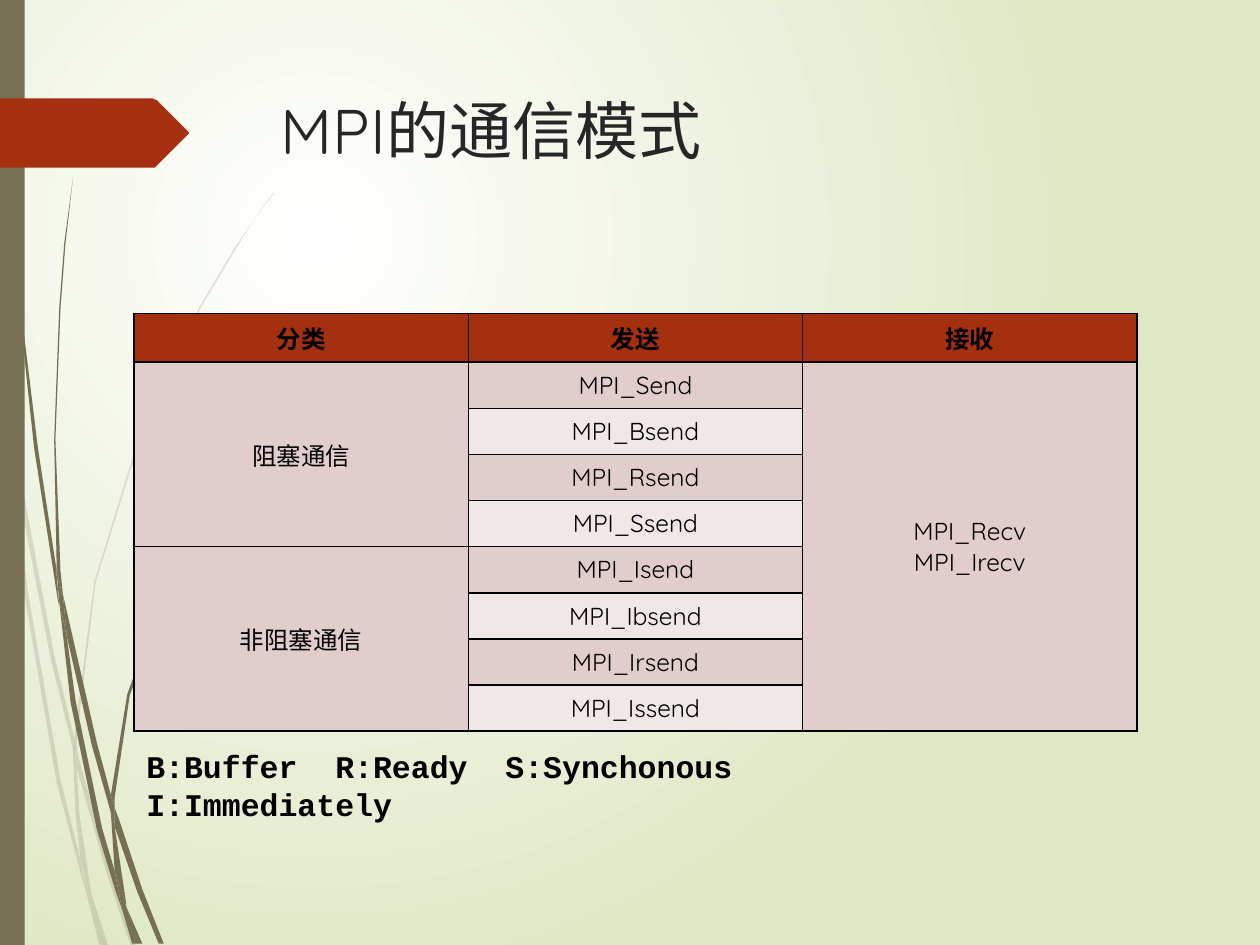
from lxml.etree import SubElement as Sub
from pptx import Presentation
from pptx.dml.color import RGBColor as Rgb
from pptx.enum.shapes import MSO_SHAPE as Kind
from pptx.enum.text import MSO_ANCHOR as Anchor, PP_ALIGN as Align
from pptx.oxml import parse_xml as to_xml
from pptx.oxml.ns import nsdecls, qn
from pptx.util import Cm, Pt

HUE = {"white": "FFFFFF", "lime": "DFE8C4", "olive": "766F54", "rust": "A53010",
       "rose": "E1CDCC", "pale": "F0E8E7", "ink": "000000", "grey": "262626"}

FAINT = [
    "8,350 6,322 0,282 0,299 7,344",
    "40,522 59,599 59,586 43,520 10,345 12,376",
    "64,607 61,596 61,610 85,694 104,751 108,751 88,692",
    "83,751 86,751 73,711",
    "64,683 48,619 22,469 12,376 8,350 19,470 45,621 64,693 70,714 69,707",
    "58,599 60,646 64,683 67,692 73,711 72,706 63,646 61,610 61,608",
    "61,584 76,462 111,349 159,245 187,198 201,175 217,154 217,153 201,175 "
    "186,197 158,244 110,348 75,461 59,584 59,586 61,596",
    "70,714 79,751 82,751",
    "61,608 61,610 61,596 59,586 58,599",
    "67,692 65,683 69,707 70,714 82,751 83,751 73,711",
]
DARK = [
    "5,110 14,233 27,355 46,477 47,481 45,457 45,453 30,355 15,232 6,109 "
    "4,48 3,0 2,0 3,48",
    "73,592 88,645 88,633 88,631 77,590 50,472 53,505",
    "94,649 91,641 91,656 109,708 126,749 130,749 113,706",
    "91,691 81,657 60,556 53,505 47,477 56,557 77,659 92,708 97,722 96,717",
    "50,472 48,453 44,349 48,245 52,193 58,141 51,193 47,245 43,349 45,449 49,472",
    "110,749 113,749 100,719",
    "47,477 53,505 50,472 49,472 45,449 45,453",
    "91,633 103,552 131,476 169,406 191,374 203,359 216,344 215,344 203,358 "
    "191,373 168,405 129,474 101,551 88,631 91,641",
    "97,722 105,749 108,749",
    "88,645 91,691 96,706 100,719 100,716 91,656 90,651",
    "88,645 90,651 91,656 91,641 88,631 88,633",
    "96,706 91,691 96,717 97,722 108,749 110,749 100,719",
]
TAG = ["149,107 124,132 123,133 121,133 0,133 0,78 121,78 123,79 124,79 149,104 150,105 150,106"]

deck = Presentation()
deck.slide_width, deck.slide_height = Cm(25.4), Cm(19.05)
slide = deck.slides.add_slide(deck.slide_layouts[6])
shapes = slide.shapes


def paint(shape, hue):
    shape.shadow.inherit = False
    shape.fill.solid()
    shape.fill.fore_color.rgb = Rgb.from_string(HUE[hue])
    shape.line.fill.background()


def write(frame, lines, hue, form, align=Align.LEFT):
    frame.text = "\n".join(lines)
    for para in frame.paragraphs:
        para.alignment = align
        font = para.runs[0].font
        font.color.rgb = Rgb.from_string(HUE[hue])
        for key, val in form.items():
            setattr(font, key, val)


back = slide.background.fill
back.gradient()
for stop, hue in zip(back.gradient_stops, ("white", "lime")):
    stop.color.rgb = Rgb.from_string(HUE[hue])
grad = next(slide._element.iter(qn("a:gradFill")))
grad.replace(grad.find(qn("a:lin")), to_xml(
    f'<a:path {nsdecls("a")} path="circle">'
    '<a:fillToRect l="50000" t="50000" r="100000" b="100000"/></a:path>'))

for group, hue, alpha in ((FAINT, "olive", 20), (DARK, "olive", 100), (TAG, "rust", 100)):
    if group is TAG:
        bar = shapes.add_shape(Kind.RECTANGLE, 0, 0, Cm(0.5), Cm(19.05))
        paint(bar, "olive")
    for blade in group:
        dots = [tuple(map(int, dot.split(","))) for dot in blade.split()]
        pen = shapes.build_freeform(*dots[0], scale=Cm(2.54) / 100)
        pen.add_line_segments(dots[1:], close=True)
        leaf = pen.convert_to_shape()
        paint(leaf, hue)
        if alpha < 100:
            clr = next(leaf._element.spPr.iter(qn("a:srgbClr")))
            Sub(clr, qn("a:alpha"), val=str(alpha * 1000))

title = shapes.add_textbox(Cm(5.41), Cm(1.73), Cm(18.31), Cm(3.56)).text_frame
title.word_wrap = True
write(title, ["MPI的通信模式"], "grey", {"name": "Quicksand", "size": Pt(36)})

HEAD = ["分类", "发送", "接收"]
SENDS = ["MPI_" + mode + "send" for mode in ("", "B", "R", "S", "I", "Ib", "Ir", "Is")]
SENDS[0] = "MPI_Send"
texts = {(0, col): [word] for col, word in enumerate(HEAD)}
texts |= {(row, 1): [word] for row, word in enumerate(SENDS, 1)}
texts |= {(1, 0): ["阻塞通信"], (5, 0): ["非阻塞通信"], (1, 2): ["MPI_Recv", "MPI_Irecv"]}

grid = shapes.add_table(9, 3, Cm(2.7), Cm(6.32), Cm(20.22), Cm(8.38)).table
grid.first_row = grid.horz_banding = False
for col in grid.columns:
    col.width = Cm(6.74)
for row in grid.rows:
    row.height = Cm(0.93)
grid.rows[0].height = Cm(0.98)
for top, left, end in ((1, 0, 4), (5, 0, 8), (1, 2, 8)):
    grid.cell(top, left).merge(grid.cell(end, left))

for row in range(9):
    for col in range(3):
        cell = grid.cell(row, col)
        hue = "rust" if row == 0 else "pale" if col == 1 and row % 2 == 0 else "rose"
        cell.fill.solid()
        cell.fill.fore_color.rgb = Rgb.from_string(HUE[hue])
        cell.vertical_anchor = Anchor.MIDDLE
        for spot, side in enumerate("LRTB"):
            cell._tc.tcPr.insert(spot, to_xml(
                f'<a:ln{side} {nsdecls("a")} w="12700"><a:solidFill>'
                f'<a:srgbClr val="{HUE["ink"]}"/></a:solidFill></a:ln{side}>'))
        if (row, col) in texts:
            form = {"name": "Quicksand", "size": Pt(14), "bold": row == 0}
            write(cell.text_frame, texts[row, col], "ink", form, Align.CENTER)

note = shapes.add_textbox(Cm(2.7), Cm(14.94), Cm(12.4), Cm(1.8)).text_frame
note.word_wrap = False
write(note, ["B:Buffer  R:Ready  S:Synchonous", "I:Immediately"], "ink",
      {"name": "Courier New", "size": Pt(18), "bold": True})

deck.save("out.pptx")
